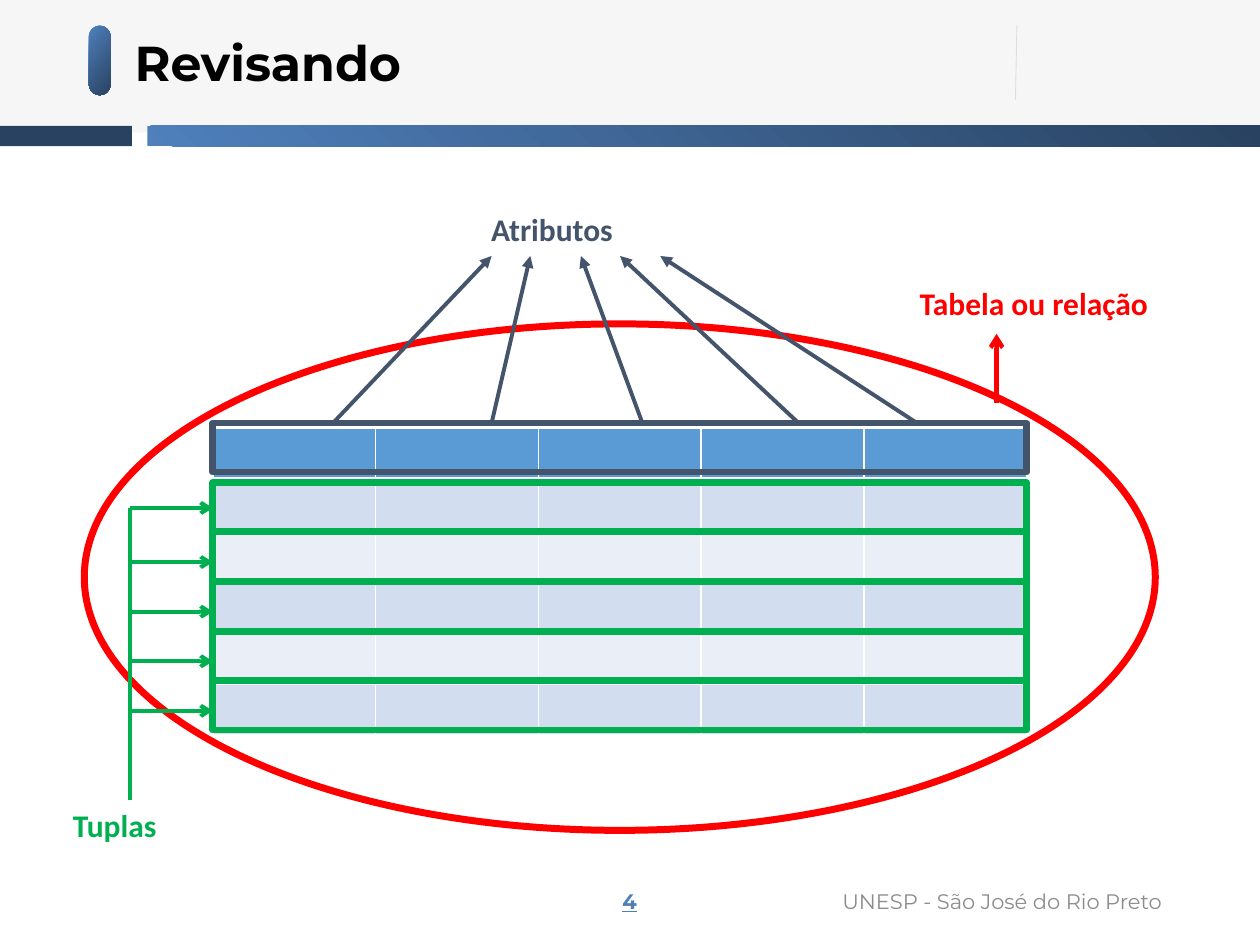
from dataclasses import dataclass

from pptx import Presentation
from pptx.dml.color import RGBColor
from pptx.enum.shapes import MSO_CONNECTOR, MSO_SHAPE
from pptx.enum.text import MSO_ANCHOR, MSO_AUTO_SIZE, PP_ALIGN
from pptx.oxml.ns import qn
from pptx.oxml.xmlchemy import OxmlElement
from pptx.util import Cm, Pt

COLORS = {
    "band": "F6F6F6", "navy": "294261", "blue": "4F80BC", "divider": "0D0D0D",
    "title": "000000", "relation": "FF0000", "attribute": "44546A", "tuple": "00B050",
    "header": "5B9BD5", "odd row": "D2DEEF", "even row": "EAEFF7", "grid": "FFFFFF",
    "footer": "8C8C8C", "page": "4F7FBB",
}


@dataclass
class Box:
    left: float
    top: float
    width: float
    height: float

    def lengths(self) -> list:
        return [Cm(v) for v in (self.left, self.top, self.width, self.height)]


@dataclass
class Label:
    text: str
    box: Box
    color: str
    size: int = 18
    font: str = "Calibri"
    bold: bool = True
    underline: bool = False
    align: PP_ALIGN = PP_ALIGN.LEFT
    fitted: bool = True


@dataclass
class Line:
    start: tuple[float, float]
    end: tuple[float, float]
    color: str
    width: float = 2.25
    arrow: str = ""


def rgb(name: str) -> RGBColor:
    return RGBColor.from_string(COLORS[name])


def add_panel(slide, kind, box: Box, fill: str = "", angle: float = 0):
    panel = slide.shapes.add_shape(kind, *box.lengths())
    panel.shadow.inherit = False
    panel.line.fill.background()
    if fill:
        panel.fill.solid()
        panel.fill.fore_color.rgb = rgb(fill)
    else:
        panel.fill.gradient()
        panel.fill.gradient_angle = angle
        for stop, color in zip(panel.fill.gradient_stops, ("blue", "navy")):
            stop.color.rgb = rgb(color)
    return panel


def add_outline(slide, kind, box: Box, color: str, width: float) -> None:
    outline = slide.shapes.add_shape(kind, *box.lengths())
    outline.shadow.inherit = False
    outline.fill.background()
    outline.line.color.rgb = rgb(color)
    outline.line.width = Pt(width)


def add_line(slide, line: Line):
    ends = [Cm(v) for v in (*line.start, *line.end)]
    connector = slide.shapes.add_connector(MSO_CONNECTOR.STRAIGHT, *ends)
    connector.line.color.rgb = rgb(line.color)
    connector.line.width = Pt(line.width)
    if line.arrow:
        tail = OxmlElement("a:tailEnd")
        tail.set("type", line.arrow)
        connector.element.find(".//" + qn("a:ln")).append(tail)
    connector.element.spPr.append(OxmlElement("a:effectLst"))
    return connector


def write(frame, label: Label) -> None:
    paragraph = frame.paragraphs[0]
    paragraph.alignment = label.align
    run = paragraph.add_run()
    run.text = label.text
    run.font.name = label.font
    run.font.size = Pt(label.size)
    run.font.bold = label.bold
    run.font.underline = label.underline
    run.font.color.rgb = rgb(label.color)


def add_label(slide, label: Label) -> None:
    frame = slide.shapes.add_textbox(*label.box.lengths()).text_frame
    frame.word_wrap = not label.fitted
    if label.fitted:
        frame.auto_size = MSO_AUTO_SIZE.SHAPE_TO_FIT_TEXT
    else:
        frame.vertical_anchor = MSO_ANCHOR.MIDDLE
    write(frame, label)


def set_border(cell, side: str, width: float) -> None:
    border = OxmlElement(f"a:{side}")
    border.set("w", str(Pt(width)))
    fill = OxmlElement("a:solidFill")
    color = OxmlElement("a:srgbClr")
    color.set("val", COLORS["grid"])
    fill.append(color)
    border.append(fill)
    cell._tc.get_or_add_tcPr().append(border)


def add_relation(slide, box: Box, rows: int, columns: int) -> None:
    table = slide.shapes.add_table(rows, columns, *box.lengths()).table
    for column in table.columns:
        column.width = Cm(box.width / columns)
    for index, row in enumerate(table.rows):
        row.height = Cm(box.height / rows)
        fill = "header" if index == 0 else ("even row", "odd row")[index % 2]
        for cell in row.cells:
            set_border(cell, "lnL", 1)
            set_border(cell, "lnR", 1)
            set_border(cell, "lnT", 3 if index == 1 else 1)
            set_border(cell, "lnB", 3 if index == 0 else 1)
            cell.fill.solid()
            cell.fill.fore_color.rgb = rgb(fill)


def main() -> None:
    deck = Presentation()
    deck.slide_width, deck.slide_height = Cm(25.4), Cm(19.05)
    slide = deck.slides.add_slide(deck.slide_layouts[5])

    # Top band
    add_panel(slide, MSO_SHAPE.RECTANGLE, Box(-0.03, -0.05, 25.48, 2.72), "band")
    add_panel(slide, MSO_SHAPE.RECTANGLE, Box(-0.03, 2.54, 2.69, 0.41), "navy")
    add_panel(slide, MSO_SHAPE.RECTANGLE, Box(2.97, 2.54, 22.48, 0.41), angle=46)
    pill = add_panel(slide, MSO_SHAPE.FLOWCHART_TERMINATOR, Box(1.31, 1, 1.4, 0.44), angle=53)
    pill.rotation = 90
    divider = add_line(slide, Line((20.5, 0.51), (20.47, 2.01), "divider", 0.5))
    alpha = OxmlElement("a:alpha")
    alpha.set("val", "10000")
    divider.element.find(".//" + qn("a:srgbClr")).append(alpha)

    # Title, brought in front of the band
    title = slide.shapes.title
    title_box = Box(2.46, 0.66, 18.01, 1.32)
    title.left, title.top, title.width, title.height = title_box.lengths()
    title.element.getparent().append(title.element)
    title.text_frame.auto_size = MSO_AUTO_SIZE.NONE
    title.text_frame.vertical_anchor = MSO_ANCHOR.MIDDLE
    title.text_frame.paragraphs[0].line_spacing = 0.9
    write(title.text_frame, Label("Revisando", title_box, "title", 28, "Montserrat"))

    # Relation: the table and the ellipse around it
    left, width, frame_height = 4.29, 16.41, 0.99
    add_relation(slide, Box(left, 8.64, width, 6.1), rows=6, columns=5)
    add_label(slide, Label("Tabela ou relação", Box(18.29, 5.61, 6.43, 1.02), "relation"))
    add_line(slide, Line((20.09, 8.13), (20.09, 6.73), "relation", 2.5, "arrow"))
    add_outline(slide, MSO_SHAPE.OVAL, Box(1.7, 6.53, 21.59, 10.21), "relation", 4)

    # Attributes: the header row
    header_top = 8.53
    add_outline(slide, MSO_SHAPE.RECTANGLE, Box(left, header_top, width, frame_height), "attribute", 3.75)
    add_label(slide, Label("Atributos", Box(9.65, 4.11, 3.68, 1.02), "attribute"))
    for column_x, label_x in ((6.71, 9.91), (9.91, 10.69), (12.95, 11.71), (16.1, 12.5), (18.49, 13.31)):
        add_line(slide, Line((column_x, header_top), (label_x, 5.16), "attribute", arrow="triangle"))

    # Tuples: the body rows
    add_label(slide, Label("Tuplas", Box(1.22, 16.13, 2.79, 1.02), "tuple"))
    for index in range(5):
        add_outline(slide, MSO_SHAPE.RECTANGLE, Box(left, 9.73 + index, width, frame_height), "tuple", 3.75)
    stem_x, arrow_tops = 2.62, (10.24, 11.33, 12.33, 13.33, 14.33)
    add_line(slide, Line((stem_x, 16.13), (stem_x, arrow_tops[0]), "tuple"))
    for y in arrow_tops:
        add_line(slide, Line((stem_x, y), (left, y), "tuple", arrow="arrow"))

    # Footer
    add_label(slide, Label("UNESP - São José do Rio Preto", Box(14.33, 17.65, 9.35, 1.02), "footer", 12,
                           "Montserrat", bold=False, align=PP_ALIGN.RIGHT, fitted=False))
    add_label(slide, Label("4", Box(11.91, 17.65, 1.57, 1.02), "page", 12, "Montserrat",
                           underline=True, align=PP_ALIGN.CENTER, fitted=False))

    deck.save("out.pptx")


if __name__ == "__main__":
    main()
